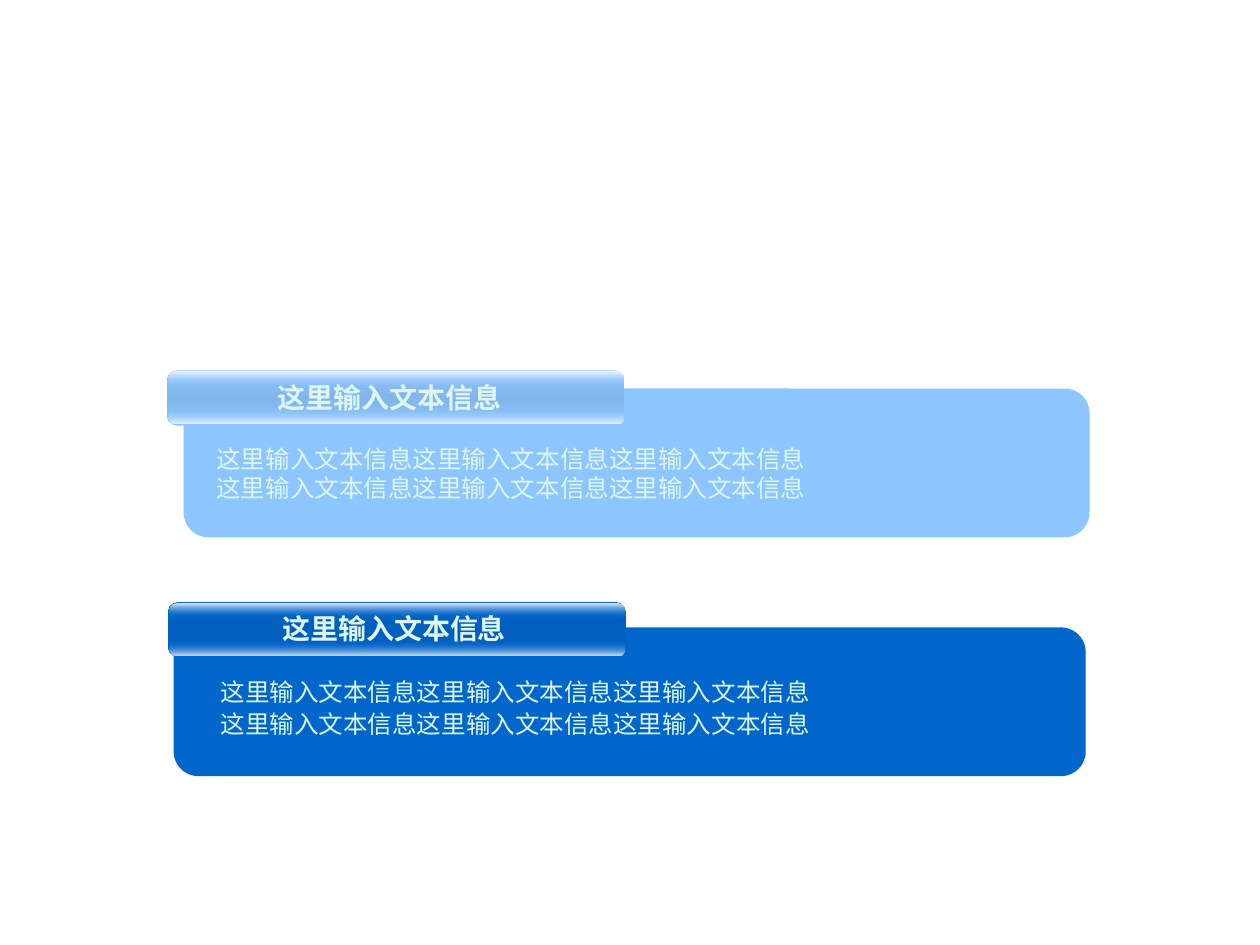
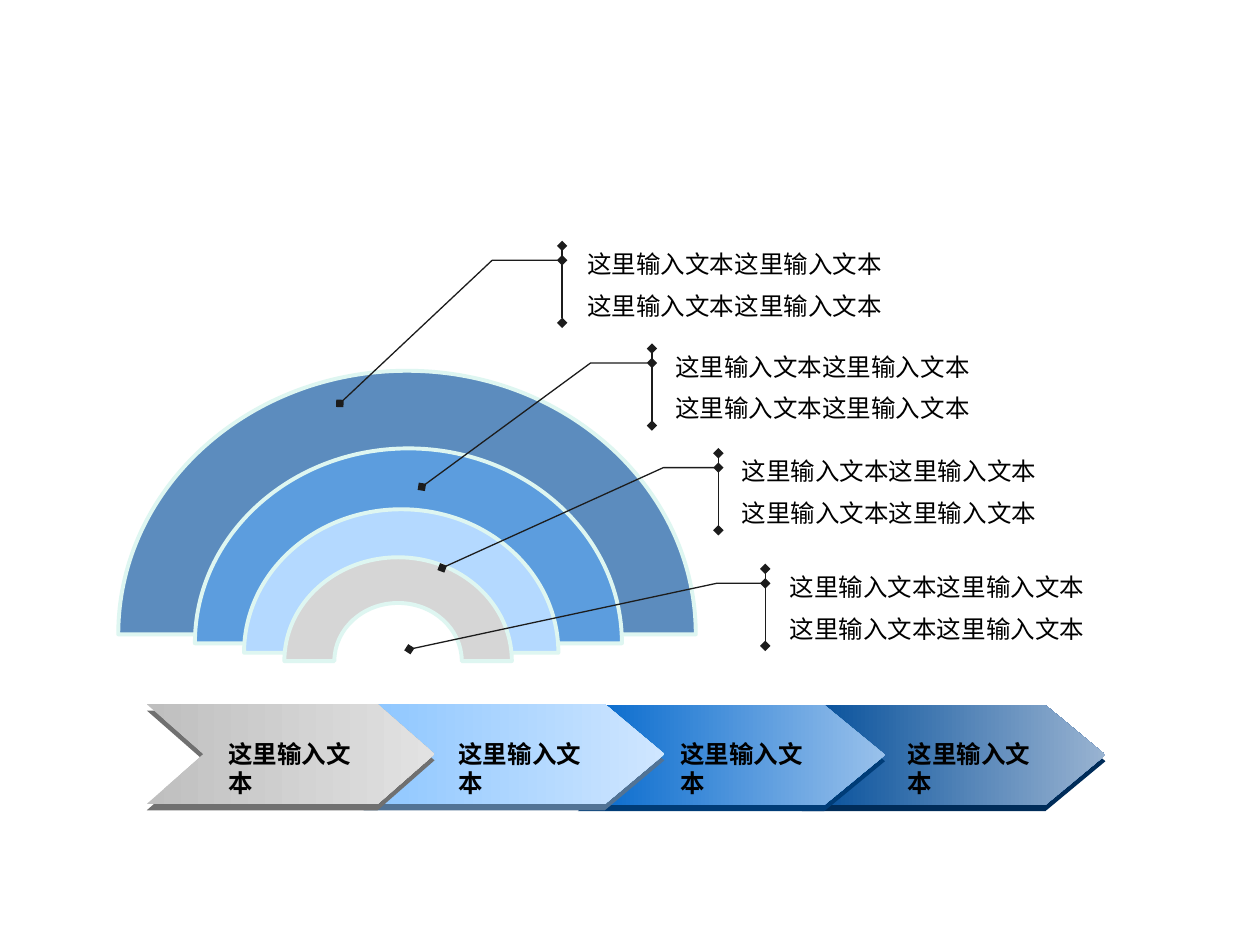
from lxml import etree
from pptx import Presentation
from pptx.dml.color import RGBColor
from pptx.enum.shapes import MSO_SHAPE
from pptx.enum.text import MSO_ANCHOR, PP_ALIGN
from pptx.oxml.ns import qn
from pptx.util import Pt

ROUND_RECT = MSO_SHAPE.ROUNDED_RECTANGLE
CHEVRON = MSO_SHAPE.CHEVRON
CALLOUT = MSO_SHAPE.LINE_CALLOUT_2_ACCENT_BAR
LEFT, CENTER = PP_ALIGN.LEFT, PP_ALIGN.CENTER
TOP, MIDDLE = MSO_ANCHOR.TOP, MSO_ANCHOR.MIDDLE

FONT = "Arial"
BLACK = RGBColor(0x00, 0x00, 0x00)
CHARCOAL = RGBColor(0x1C, 0x1C, 0x1C)
MINT = RGBColor(0xDE, 0xF6, 0xF1)
BLUE = RGBColor(0x00, 0x66, 0xCC)
BLUE_MID = RGBColor(0x00, 0x5E, 0xBC)
BLUE_GLOW = RGBColor(0xE8, 0xEB, 0xF6)
BLUE_GLOW_LOW = RGBColor(0xE0, 0xE4, 0xF3)
SKY = RGBColor(0x8D, 0xC6, 0xFF)
SKY_MID = RGBColor(0x82, 0xB5, 0xEA)
SKY_GLOW = RGBColor(0xF2, 0xF7, 0xFF)
SKY_GLOW_LOW = RGBColor(0xEE, 0xF5, 0xFF)
NAVY = RGBColor(0x00, 0x4C, 0x99)
SILVER = RGBColor(0xBF, 0xBF, 0xBF)
NAVY_END = RGBColor(0x99, 0xB3, 0xD1)
BLUE_END = RGBColor(0x99, 0xC1, 0xEB)
SKY_END = RGBColor(0xCF, 0xE6, 0xFF)
SILVER_END = RGBColor(0xE2, 0xE2, 0xE2)
NAVY_EDGE = RGBColor(0x00, 0x2C, 0x59)
BLUE_EDGE = RGBColor(0x00, 0x3C, 0x77)
SKY_EDGE = RGBColor(0x52, 0x73, 0x95)
SILVER_EDGE = RGBColor(0x70, 0x70, 0x70)
ARC_NAVY = RGBColor(0x5C, 0x8C, 0xBE)
ARC_BLUE = RGBColor(0x5C, 0x9D, 0xDE)
ARC_SKY = RGBColor(0xB4, 0xD9, 0xFF)
ARC_SILVER = RGBColor(0xD6, 0xD6, 0xD6)

HEADING = "这里输入文本信息"
BODY = [HEADING * 3] * 2
STEP = "这里输入文本"
NOTES = [STEP * 2] * 2
CURVE = 0.5523
FLATTEN = 0.913
HOLE = 0.56

PANELS = [
    ((99.2, 358.5, 521.2, 85), (96.1, 344), (153.4, 345.8), (119, 381.6), 1.1,
     (BLUE, BLUE_MID, BLUE_GLOW, BLUE_GLOW_LOW)),
    ((105, 222, 517.6, 85), (95.5, 211.7), (150.6, 213.8), (116.6, 250), 1.0,
     (SKY, SKY_MID, SKY_GLOW, SKY_GLOW_LOW)),
]
ARCS = [
    (232.6, 362.5, 165, ARC_NAVY),
    (233.4, 367.6, 122, ARC_BLUE),
    (229.3, 373, 89.8, ARC_SKY),
    (227.5, 377.8, 65, ARC_SILVER),
]
CALLOUTS = [
    (444.2, 325.1, 287.3, (-0.024, -0.121, 1.044, -0.732)),
    (416.7, 259, 280.8, (-0.022, -0.134, 1.49, -0.584)),
    (378.7, 199.2, 278.6, (-0.022, -0.148, 1.797, -0.494)),
    (328.5, 140.5, 317.5, (-0.023, -0.149, 2.047, -0.423)),
]
STEPS = [
    (458.2, 402.9, 173.5, 0.602, 511.5, NAVY, NAVY_END, NAVY_EDGE),
    (330.2, 402.9, 175.5, 0.608, 381.6, BLUE, BLUE_END, BLUE_EDGE),
    (207.8, 402.4, 171.8, 0.596, 254.9, SKY, SKY_END, SKY_EDGE),
    (83.9, 402.4, 164.4, 0.57, 123.4, SILVER, SILVER_END, SILVER_EDGE),
]


def add_shape(s, kind, box, adjustments, fill=None):
    """Add a preset shape without line or shadow, with an optional solid fill."""
    sp = s.shapes.add_shape(kind, *map(Pt, box))
    sp.shadow.inherit = False
    sp.line.fill.background()
    for i, value in enumerate(adjustments):
        sp.adjustments[i] = value
    if fill is None:
        sp.fill.background()
    else:
        sp.fill.solid()
        sp.fill.fore_color.rgb = fill
    return sp


def set_gradient(sp, stops, angle):
    """Replace the fill by a linear gradient of (position, colour, opacity) stops."""
    sp.fill.background()
    old = sp._element.spPr.find(qn("a:noFill"))
    grad = etree.Element(qn("a:gradFill"), rotWithShape="1")
    stop_list = etree.SubElement(grad, qn("a:gsLst"))
    for position, color, opacity in stops:
        gs = etree.SubElement(stop_list, qn("a:gs"), pos=str(position * 1000))
        rgb = etree.SubElement(gs, qn("a:srgbClr"), val=str(color))
        if opacity < 100:
            etree.SubElement(rgb, qn("a:alpha"), val=str(opacity * 1000))
    etree.SubElement(grad, qn("a:lin"), ang=str(angle * 60000), scaled="0")
    old.getparent().replace(old, grad)


def set_text(sp, lines, size, color, bold=False, align=LEFT, anchor=TOP,
             wrap=True, spacing=1.0, gap=0):
    """Write one paragraph a line, with a gap between paragraphs."""
    tf = sp.text_frame
    tf.word_wrap = wrap
    tf.vertical_anchor = anchor
    for i, line in enumerate(lines):
        p = tf.add_paragraph() if i else tf.paragraphs[0]
        p.text = line
        p.alignment = align
        p.line_spacing = spacing
        if i and gap:
            p.space_before = Pt(gap)
        p.font.name = FONT
        p.font.size = Pt(size)
        p.font.bold = bold
        p.font.color.rgb = color


def add_text(s, box, lines, size, color, **style):
    """Add a text box."""
    set_text(s.shapes.add_textbox(*map(Pt, box)), lines, size, color, **style)


def add_panel(s, box, tab, heading, body, spacing, colors):
    """Add a text panel with a glossy heading tab."""
    base, mid, glow, glow_low = colors
    x, y = tab
    add_shape(s, ROUND_RECT, box, [0.167], base)
    sp = add_shape(s, ROUND_RECT, (x, y, 261.4, 31.5), [0.175])
    set_gradient(sp, [(0, base, 100), (50, mid, 100), (100, base, 100)], 90)
    sheens = [(22.4, [(0, base, 0), (100, glow_low, 100)]),
              (0.7, [(0, glow, 100), (100, base, 0)])]
    for offset, stops in sheens:
        sp = add_shape(s, ROUND_RECT, (x + 0.7, y + offset, 260, 8), [0.5])
        set_gradient(sp, stops, 90)
    add_text(s, (*heading, 144, 26.6), [HEADING], 16, MINT, bold=True,
             align=CENTER, wrap=False)
    add_text(s, (*body, 455, 44), BODY, 14, MINT, spacing=spacing)


def curve_lines(path):
    """Turn each half ellipse of a ring's outline into two Bézier curves."""
    lines = path.findall(qn("a:lnTo"))
    for start in (0, 3, 7, 10):
        curve = etree.Element(qn("a:cubicBezTo"))
        lines[start].addprevious(curve)
        for line in lines[start:start + 3]:
            curve.append(line[0])
            path.remove(line)


def add_arc(s, cx, base, radius, color):
    """Add the upper half of a flattened ring, in the box of the whole ring."""
    def half(r):
        knots = [(-1, 0), (-1, CURVE), (-CURVE, 1), (0, 1),
                 (CURVE, 1), (1, CURVE), (1, 0)]
        return [(Pt(cx + r * x), Pt(base - FLATTEN * r * y)) for x, y in knots]

    points = half(radius) + half(HOLE * radius)[::-1]
    builder = s.shapes.build_freeform(*points[0])
    builder.add_line_segments(points[1:], close=True)
    sp = builder.convert_to_shape()
    path = sp._element.spPr.find(".//" + qn("a:path"))
    curve_lines(path)
    sp.height = 2 * sp.height
    path.set("h", str(sp.height))
    sp.shadow.inherit = False
    sp.fill.solid()
    sp.fill.fore_color.rgb = color
    sp.line.color.rgb = MINT
    sp.line.width = Pt(2.25)


def add_callout(s, x, y, width, leader):
    """Add a two-line note with an accent bar and a bent leader."""
    x1, x2, y3, x3 = leader
    sp = add_shape(s, CALLOUT, (x, y, width, 44), [0.188, x1, 0.188, x2, y3, x3])
    sp.line.color.rgb = CHARCOAL
    sp.line.width = Pt(0.75)
    ln = sp._element.spPr.find(qn("a:ln"))
    for end in ("a:headEnd", "a:tailEnd"):
        etree.SubElement(ln, qn(end), type="diamond")
    set_text(sp, NOTES, 14, BLACK, anchor=MIDDLE, gap=7)


def add_step(s, x, y, width, point, start, end, edge):
    """Add a chevron with a dark lower edge."""
    add_shape(s, CHEVRON, (x, y + 3.6, width, 57), [point], edge)
    sp = add_shape(s, CHEVRON, (x, y, width, 57), [point])
    set_gradient(sp, [(0, start, 100), (100, end, 100)], 0)


def main():
    """Build both slides."""
    prs = Presentation()
    prs.slide_width, prs.slide_height = Pt(720), Pt(540)
    blank = prs.slide_layouts[6]

    s = prs.slides.add_slide(blank)
    for panel in PANELS:
        add_panel(s, *panel)

    s = prs.slides.add_slide(blank)
    for arc in ARCS:
        add_arc(s, *arc)
    for callout in CALLOUTS:
        add_callout(s, *callout)
    for x, y, width, point, _, *colors in STEPS:
        add_step(s, x, y, width, point, *colors)
    for step in STEPS:
        add_text(s, (step[4], 418.6, 90.7, 22.3), [STEP], 14, BLACK, bold=True)

    prs.save("out.pptx")


if __name__ == "__main__":
    main()
